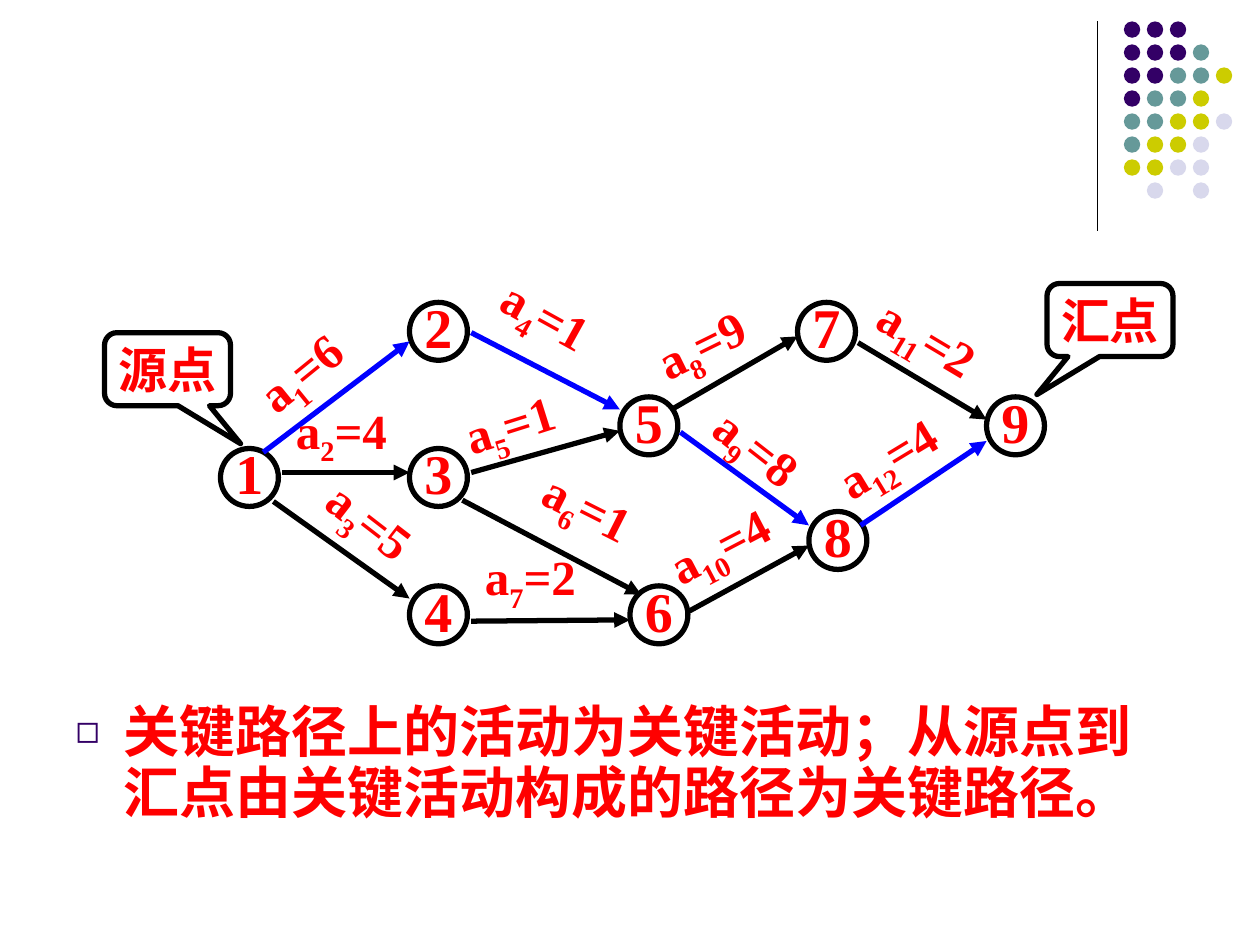
"""Build a slide showing the critical path of an activity network."""
from dataclasses import dataclass

from lxml.etree import SubElement
from pptx import Presentation
from pptx.dml.color import RGBColor
from pptx.enum.shapes import MSO_CONNECTOR as Connector, MSO_SHAPE as Shape
from pptx.enum.text import MSO_ANCHOR as Anchor, MSO_AUTO_SIZE as AutoSize, PP_ALIGN as Align
from pptx.oxml.ns import qn
from pptx.slide import Slide
from pptx.util import Inches, Pt

BLACK, BLUE, RED, PURPLE = "000000", "0000FF", "FF0000", "330066"
DOT_COLORS = {"P": PURPLE, "T": "669999", "Y": "CCCC00", "L": "D8D8EC"}
DOT_ROWS = ["PPP", "PPPT", "PPTTY", "PTTY", "TTYYL", "TYYL", "YYLL", " L L"]
DOT_LEFT, DOT_TOP, DOT_SIZE, DOT_PITCH = 8.92, 0.17, 0.13, 0.73 / 4
NODE_SIZE = 0.46
NODES = {
    "1": (1.75, 3.56), "2": (3.25, 2.4), "3": (3.25, 3.56),
    "4": (3.25, 4.65), "5": (4.92, 3.15), "6": (5, 4.65),
    "7": (6.33, 2.4), "8": (6.42, 4.06), "9": (7.83, 3.15),
}
ACTIVITIES = [
    (6, (2.09, 3.59), (3.25, 2.71), (1.91, 2.58), -39.1, BLUE),
    (4, (2.24, 3.75), (3.25, 3.75), (2.25, 3.13), 0, BLACK),
    (5, (2.17, 3.98), (3.25, 4.75), (2.41, 3.99), 37.7, BLACK),
    (1, (3.74, 2.64), (4.92, 3.25), (3.83, 2.33), 28.9, BLUE),
    (1, (3.74, 3.75), (4.92, 3.42), (3.58, 3), -17.6, BLACK),
    (1, (3.67, 3.97), (5.09, 4.72), (4.19, 3.75), 26.7, BLACK),
    (2, (3.74, 4.93), (5, 4.92), (3.75, 4.29), 0, BLACK),
    (9, (5.33, 3.25), (6.33, 2.67), (5.09, 2.33), -26.2, BLACK),
    (8, (5.4, 3.43), (6.42, 4.17), (5.48, 3.41), 38, BLUE),
    (4, (5.47, 4.85), (6.42, 4.33), (5.18, 3.95), -27.6, BLACK),
    (2, (6.81, 2.72), (7.83, 3.33), (6.81, 2.49), 30.9, BLACK),
    (4, (6.83, 4.17), (7.83, 3.5), (6.51, 3.24), -31.2, BLUE),
]
LABEL_WIDTHS = {1: 1.17, 6: 1}
CONCLUSION = "关键路径上的活动为关键活动；从源点到汇点由关键活动构成的路径为关键路径。"


def color(value):
    """Turn a hex string into a colour."""
    return RGBColor.from_string(value)


def set_values(target, values):
    """Set attributes of an object from a dict."""
    for name, value in values.items():
        setattr(target, name, value)


@dataclass
class NetworkSlide:
    """Hold the style and the current slide."""
    slide: Slide
    font: str = "Times New Roman"
    body_font: str = "Arial"
    line_width: float = 3

    def text_run(self, paragraph, text, size, font=None):
        """Add a bold red run to a paragraph."""
        run = paragraph.add_run()
        run.text = text
        set_values(run.font, {"name": font or self.font, "size": Pt(size), "bold": True})
        run.font.color.rgb = color(RED)
        return run

    def shape(self, kind, left, top, width, height, fill=None, line=None):
        """Add a preset shape without a shadow."""
        shape = self.slide.shapes.add_shape(
            kind, Inches(left), Inches(top), Inches(width), Inches(height))
        shape.shadow.inherit = False
        if fill:
            shape.fill.solid()
            shape.fill.fore_color.rgb = color(fill)
        else:
            shape.fill.background()
        if line:
            shape.line.color.rgb = color(line)
            shape.line.width = Pt(self.line_width)
        else:
            shape.line.fill.background()
        return shape

    def centre_text(self, shape, text, size, bottom=0):
        """Put centred text in a shape."""
        frame = shape.text_frame
        set_values(frame, {"margin_left": 0, "margin_right": 0, "margin_top": 0,
                           "margin_bottom": Inches(bottom), "word_wrap": False,
                           "vertical_anchor": Anchor.MIDDLE})
        frame.paragraphs[0].alignment = Align.CENTER
        self.text_run(frame.paragraphs[0], text, size)

    def node(self, name, left, top):
        """Add a numbered event circle."""
        circle = self.shape(Shape.OVAL, left, top, NODE_SIZE, NODE_SIZE, line=BLACK)
        self.centre_text(circle, name, 32, bottom=0.08)

    def callout(self, text, left, top, tip):
        """Add a rounded callout whose tip lies to the given side."""
        callout = self.shape(Shape.ROUNDED_RECTANGULAR_CALLOUT, left, top, 1, 0.58, line=BLACK)
        for index, value in enumerate((tip, 1.02, 0.17)):
            callout.adjustments[index] = value
        self.centre_text(callout, text, 28)

    def line(self, start, end, line_color, width, arrow=False):
        """Add a straight line, with an arrowhead if asked."""
        x1, y1, x2, y2 = map(Inches, (*start, *end))
        connector = self.slide.shapes.add_connector(Connector.STRAIGHT, x1, y1, x2, y2)
        connector.line.color.rgb = color(line_color)
        connector.line.width = Pt(width)
        if arrow:
            SubElement(connector.get_or_add_ln(), qn("a:tailEnd"), type="triangle")
        SubElement(connector._element.spPr, qn("a:effectLst"))

    def label(self, number, duration, corner, angle):
        """Add an activity label with a subscript number."""
        box = self.slide.shapes.add_textbox(
            *map(Inches, (*corner, LABEL_WIDTHS.get(number, 1.42), 0.63)))
        box.rotation = angle
        box.text_frame.word_wrap = True
        paragraph = box.text_frame.paragraphs[0]
        self.text_run(paragraph, "a", 28)
        subscript = self.text_run(paragraph, str(number), 28)
        subscript._r.get_or_add_rPr().set("baseline", "-25000")
        self.text_run(paragraph, f"={duration}", 28)

    def dots(self):
        """Add the corner grid of coloured dots."""
        for row, codes in enumerate(DOT_ROWS):
            for column, code in enumerate(codes):
                if code in DOT_COLORS:
                    self.shape(Shape.OVAL, DOT_LEFT + column * DOT_PITCH,
                               DOT_TOP + row * DOT_PITCH, DOT_SIZE, DOT_SIZE,
                               fill=DOT_COLORS[code])

    def body(self, text):
        """Fill the body placeholder with one bulleted paragraph."""
        body = self.slide.placeholders[1]
        set_values(body, {"left": Inches(0.5), "top": Inches(1.88),
                          "width": Inches(9), "height": Inches(4.72)})
        set_values(body.text_frame, {"word_wrap": True, "auto_size": AutoSize.NONE,
                                     "vertical_anchor": Anchor.BOTTOM})
        paragraph = body.text_frame.paragraphs[0]
        set_values(paragraph, {"line_spacing": 0.9, "space_before": Pt(8)})
        properties = paragraph._p.get_or_add_pPr()
        properties.set("marL", str(Inches(0.38)))
        properties.set("indent", str(-Inches(0.38)))
        SubElement(SubElement(properties, qn("a:buClr")), qn("a:srgbClr"), val=PURPLE)
        SubElement(properties, qn("a:buSzPct"), val="70000")
        SubElement(properties, qn("a:buChar"), char="◻")
        self.text_run(paragraph, text, 32, self.body_font)


def main():
    """Build and save the presentation."""
    presentation = Presentation()
    set_values(presentation, {"slide_width": Inches(10), "slide_height": Inches(7.5)})
    slide = presentation.slides.add_slide(presentation.slide_layouts[1])
    title = slide.shapes.title._element
    title.getparent().remove(title)
    network = NetworkSlide(slide)
    network.line((8.71, 0.17), (8.71, 1.83), BLACK, 0.75)
    network.dots()
    network.body(CONCLUSION)
    for name, corner in NODES.items():
        network.node(name, *corner)
    for number, activity in enumerate(ACTIVITIES, 1):
        duration, start, end, corner, angle, line_color = activity
        network.line(start, end, line_color, network.line_width, arrow=True)
        network.label(number, duration, corner, angle)
    network.callout("源点", 0.83, 2.64, 0.58)
    network.callout("汇点", 8.31, 2.25, -0.58)
    presentation.save("out.pptx")


if __name__ == "__main__":
    main()
